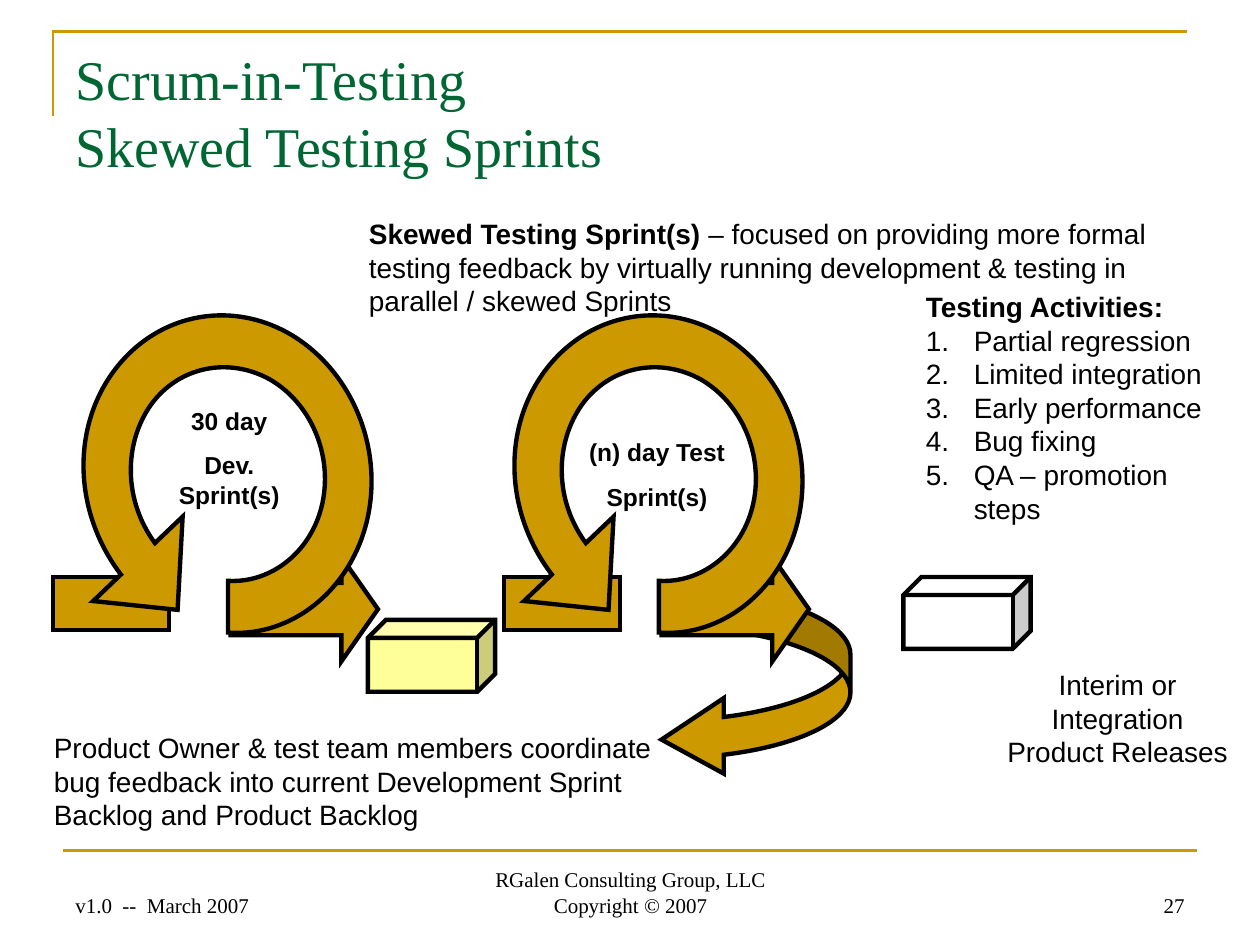
from lxml.etree import SubElement
from pptx import Presentation
from pptx.dml.color import RGBColor
from pptx.enum.shapes import MSO_CONNECTOR as Connector, MSO_SHAPE as Shape
from pptx.enum.text import MSO_ANCHOR as Anchor, MSO_AUTO_SIZE as AutoSize, PP_ALIGN as Align
from pptx.oxml.ns import qn
from pptx.util import Inches, Pt

THEME = {
    "gold": RGBColor(0xCC, 0x99, 0x00), "green": RGBColor(0x00, 0x66, 0x33),
    "black": RGBColor(0, 0, 0), "white": RGBColor(255, 255, 255),
    "yellow": RGBColor(0xFF, 0xFF, 0x99),
    "serif": "Times New Roman", "sans": "Arial",
    "title": 32, "body": 16, "label": 14, "footer": 12,
    "rule": 1.5, "outline": 2.5,
}

# Each text: box, paragraphs (each a list of (text, bold) runs), format
TEXTS = [
    ((0.5, 0.3, 9, 1.25), [[("Scrum-in-Testing\vSkewed Testing Sprints", False)]],
     {"size": "title", "font": "serif", "color": "green", "fit": AutoSize.NONE}),
    ((4.57, 3.42, 1.29, 0.69), [[("(n) day Test", True)], [("Sprint(s)", True)]],
     {"size": "label", "align": Align.CENTER, "gap": 8.8, "wrap": False}),
    ((1.17, 3.17, 1.3, 0.92), [[("30 day", True)], [("Dev. Sprint(s)", True)]],
     {"size": "label", "align": Align.CENTER, "gap": 8.8}),
    ((0.33, 5.75, 5.07, 0.9),
     [[("Product Owner & test team members coordinate bug feedback into current "
        "Development Sprint Backlog and Product Backlog", False)]], {}),
    ((7.75, 5.25, 2.24, 0.64),
     [[("Interim or Integration", False)], [("Product Releases", False)]],
     {"align": Align.CENTER, "wrap": False}),
    ((2.83, 1.67, 6.92, 0.9),
     [[("Skewed Testing Sprint(s)", True),
       (" – focused on providing more formal testing feedback by virtually running "
        "development & testing in parallel / skewed Sprints", False)]], {}),
    ((7.25, 2.25, 2.42, 1.97),
     [[("Testing Activities:", True)], [("Partial regression", False)],
      [("Limited integration", False)], [("Early performance", False)],
      [("Bug fixing", False)], [("QA – promotion steps", False)]],
     {"numbered_from": 1}),
]
FOOTERS = [
    (0.5, 2.33, "v1.0  --  March 2007", Align.LEFT),
    (3.42, 3.17, "RGalen Consulting Group, LLC\vCopyright © 2007", Align.CENTER),
    (7.17, 2.33, "27", Align.RIGHT),
]
CORNER = [(0.42, 0.92), (0.42, 0.25), (9.42, 0.25)]
FOOTER_RULE = [(0.5, 6.75), (9.5, 6.75)]

# Sprint loop: a pair is a straight step, six numbers are a cubic curve
LOOP = [
    (1.23, 4.31), (0.98, 3.97, 0.98, 3.52, 1.2, 3.21),
    (1.42, 2.91, 1.81, 2.83, 2.14, 3.01), (2.47, 3.2, 2.64, 3.61, 2.56, 3.99),
    (2.48, 4.37, 2.16, 4.63, 1.81, 4.61), (1.81, 5.02),
    (2.32, 5.06, 2.8, 4.67, 2.92, 4.1), (3.04, 3.53, 2.78, 2.93, 2.3, 2.65),
    (1.81, 2.37, 1.23, 2.5, 0.9, 2.95), (0.57, 3.4, 0.58, 4.06, 0.96, 4.56),
    (0.74, 4.77), (1.41, 4.84), (1.45, 4.1),
]
STAGE_STEP = 3.42
BAR_LEFTS = [0.42, 4]
FEEDBACK = (5.25, 4.67, 1.5, 1.5)
PRODUCTS = [(2.92, 4.92, "yellow"), (7.17, 4.58, "white")]


def style(shape, fill, line="black", width="outline"):
    shape.shadow.inherit = False
    if fill:
        shape.fill.solid()
        shape.fill.fore_color.rgb = THEME[fill]
    else:
        shape.fill.background()
    shape.line.color.rgb = THEME[line]
    shape.line.width = Pt(THEME[width])
    SubElement(shape.line._get_or_add_ln(), qn("a:miter"), lim="800000")


def add_preset(slide, kind, box, fill, adjustments=()):
    shape = slide.shapes.add_shape(kind, *map(Inches, box))
    for index, value in enumerate(adjustments):
        shape.adjustments[index] = value
    style(shape, fill)


def add_outline(slide, steps, close, shift=0, **look):
    """Build a freeform, joining the three points of each cubic step into a curve."""
    points = [(Inches(step[i] + shift), Inches(step[i + 1]))
              for step in steps for i in range(0, len(step), 2)]
    builder = slide.shapes.build_freeform(*points[0])
    builder.add_line_segments(points[1:], close=close)
    shape = builder.convert_to_shape()
    segments = iter(list(shape._element.iter(qn("a:lnTo"))))
    for step in steps[1:]:
        first = next(segments)
        if len(step) == 6:
            first.tag = qn("a:cubicBezTo")
            for _ in range(2):
                segment = next(segments)
                first.append(segment[0])
                segment.getparent().remove(segment)
    style(shape, **look)


def add_number(paragraph):
    properties = paragraph._p.get_or_add_pPr()
    SubElement(properties, qn("a:buFont"), typeface=THEME["sans"])
    SubElement(properties, qn("a:buAutoNum"), type="arabicPeriod")


def add_text(slide, box, paragraphs, size="body", font="sans", color="black",
             align=Align.LEFT, gap=0, wrap=True, anchor=Anchor.TOP,
             fit=AutoSize.SHAPE_TO_FIT_TEXT, numbered_from=None):
    frame = slide.shapes.add_textbox(*map(Inches, box)).text_frame
    frame_values = {"word_wrap": wrap, "vertical_anchor": anchor, "auto_size": fit}
    for name, value in frame_values.items():
        setattr(frame, name, value)
    font_values = {"name": THEME[font], "size": Pt(THEME[size])}
    for index, runs in enumerate(paragraphs):
        paragraph = frame.add_paragraph() if index else frame.paragraphs[0]
        paragraph.alignment = align
        if index and gap:
            paragraph.space_before = Pt(gap)
        if numbered_from is not None:
            properties = paragraph._p.get_or_add_pPr()
            properties.set("marL", str(Inches(0.38)))
            properties.set("indent", str(-Inches(0.38)))
            if index >= numbered_from:
                add_number(paragraph)
        for text, bold in runs:
            for part, line in enumerate(text.split("\v")):
                if part:
                    paragraph.add_line_break()
                run = paragraph.add_run()
                run.text = line
                for name, value in {**font_values, "bold": bold}.items():
                    setattr(run.font, name, value)
                run.font.color.rgb = THEME[color]


def add_rule(slide, start, end):
    rule = slide.shapes.add_connector(Connector.STRAIGHT, *map(Inches, start + end))
    rule.line.color.rgb = THEME["gold"]
    rule.line.width = Pt(THEME["rule"])
    SubElement(rule._element.spPr, qn("a:effectLst"))


def main():
    presentation = Presentation()
    presentation.slide_width, presentation.slide_height = Inches(10), Inches(7.5)
    slide = presentation.slides.add_slide(presentation.slide_layouts[6])

    add_outline(slide, CORNER, False, fill=None, line="gold", width="rule")
    add_rule(slide, *FOOTER_RULE)

    add_preset(slide, Shape.CURVED_LEFT_ARROW, FEEDBACK, "gold", (0.2, 0.4, 0.33))
    for stage, bar_left in enumerate(BAR_LEFTS):
        shift = stage * STAGE_STEP
        add_preset(slide, Shape.RECTANGLE, (bar_left, 4.58, 0.92, 0.42), "gold")
        add_preset(slide, Shape.RIGHT_ARROW, (1.83 + shift, 4.42, 1.17, 0.83),
                   "gold", (0.5, 0.35))
        add_outline(slide, LOOP, True, shift, fill="gold")
    for left, top, fill in PRODUCTS:
        add_preset(slide, Shape.CUBE, (left, top, 1.01, 0.57), fill, (0.25,))

    for box, paragraphs, look in TEXTS:
        add_text(slide, box, paragraphs, **look)
    for left, width, text, align in FOOTERS:
        add_text(slide, (left, 6.83, width, 0.5), [[(text, False)]], size="footer",
                 font="serif", align=align, anchor=Anchor.BOTTOM, fit=AutoSize.NONE)

    presentation.save("out.pptx")


if __name__ == "__main__":
    main()
